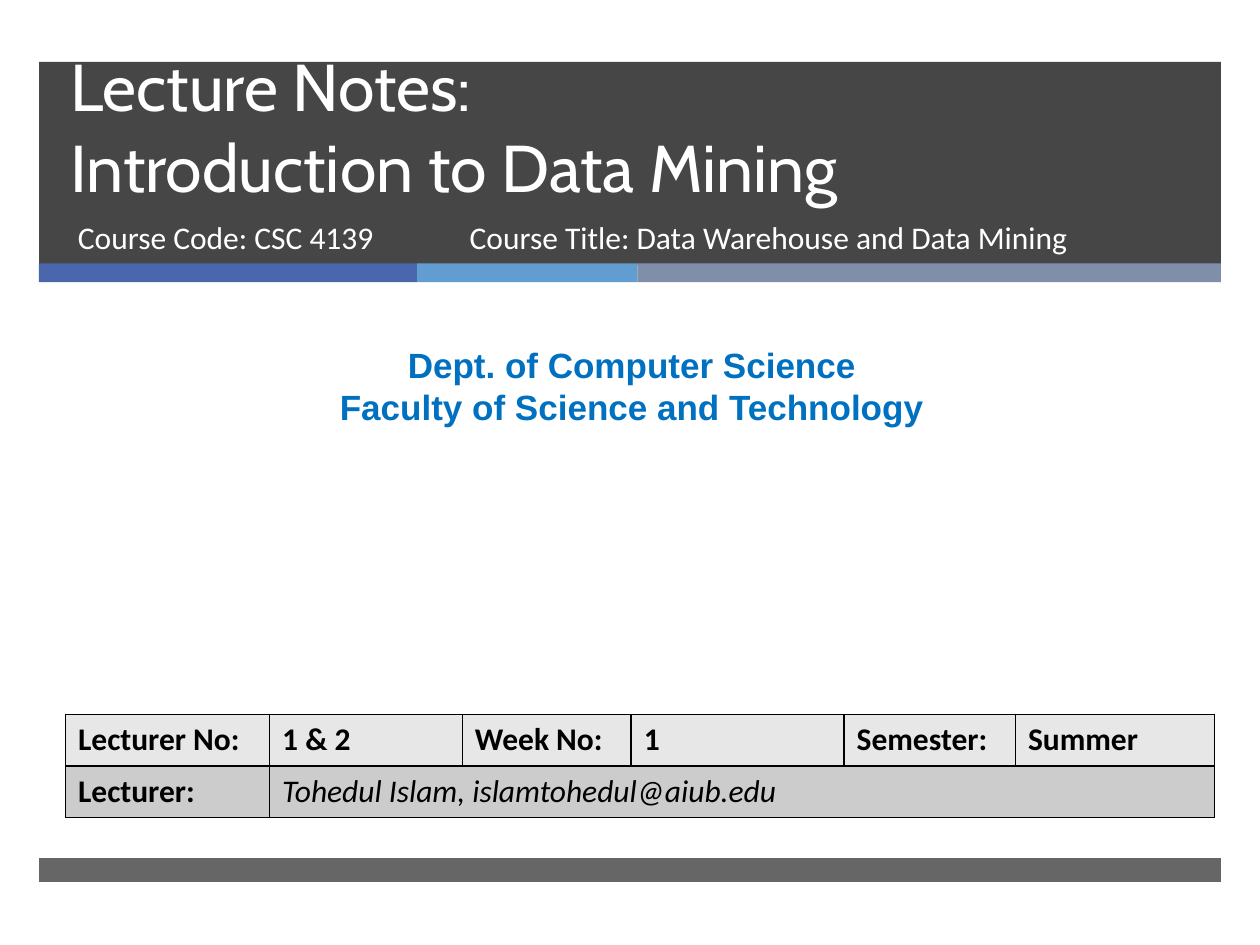
from lxml.etree import SubElement
from pptx import Presentation
from pptx.dml.color import RGBColor
from pptx.enum.shapes import MSO_SHAPE
from pptx.enum.text import MSO_ANCHOR, MSO_AUTO_SIZE, PP_ALIGN
from pptx.oxml.ns import qn
from pptx.util import Inches, Pt

WHITE = RGBColor(0xFF, 0xFF, 0xFF)
BLACK = RGBColor(0, 0, 0)
CHARCOAL = RGBColor(0x26, 0x26, 0x26)
INDIGO = RGBColor(0x4A, 0x66, 0xAC)
SKY = RGBColor(0x62, 0x9D, 0xD1)
SLATE = RGBColor(0x7F, 0x8F, 0xA9)
BLUE = RGBColor(0x00, 0x70, 0xC0)
LIGHT_GREY = RGBColor(0xE7, 0xE7, 0xE7)
MID_GREY = RGBColor(0xCC, 0xCC, 0xCC)

TITLE = ["Lecture Notes:\vIntroduction to Data Mining"]
COURSE_LINES = [
    ("Course Code: CSC 4139", 0.52, 3.05),
    ("Course Title: Data Warehouse and Data Mining", 3.63, 5.03),
]
DEPARTMENT = ["Dept. of Computer Science", "Faculty of Science and Technology"]
LECTURE_ROWS = [
    (["Lecturer No:", "1 & 2", "Week No:", "1", "Semester:", "Summer"], LIGHT_GREY),
    (["Lecturer:", "Tohedul Islam, islamtohedul@aiub.edu"], MID_GREY),
]
COLUMN_WIDTHS = [1.62, 1.53, 1.34, 1.69, 1.36, 1.58]
ROW_HEIGHT = 0.41

BAND_LEFT, BAND_WIDTH = 0.31, 9.38
BANDS = [(0.49, 1.61, 85), (6.81, 0.19, 70)]
STRIPES = [(3, INDIGO), (1.75, SKY), (4.63, SLATE)]


def write(frame, lines, size, font="Calibri", color=WHITE, bold=False,
          italic=False, align=PP_ALIGN.LEFT, spacing=None):
    frame.word_wrap = True
    frame.text = "\n".join(lines)
    for para in frame.paragraphs:
        para.alignment = align
        para.line_spacing = spacing
        for span in para.runs:
            span.font.name = font
            span.font.size = Pt(size)
            span.font.bold = bold
            span.font.italic = italic
            span.font.color.rgb = color


def add_bar(page, left, top, width, height, color, opacity=100):
    bar = page.shapes.add_shape(MSO_SHAPE.RECTANGLE, Inches(left), Inches(top),
                                Inches(width), Inches(height))
    bar.shadow.inherit = False
    bar.line.fill.background()
    bar.fill.solid()
    bar.fill.fore_color.rgb = color
    if opacity < 100:
        tint = bar.element.spPr.find(".//" + qn("a:srgbClr"))
        SubElement(tint, qn("a:alpha"), val=str(opacity * 1000))


def add_text(page, left, top, width, height, lines, **style):
    box = page.shapes.add_textbox(Inches(left), Inches(top), Inches(width), Inches(height))
    write(box.text_frame, lines, **style)


def add_borders(cell):
    properties = cell._tc.get_or_add_tcPr()
    for side in ("lnL", "lnR", "lnT", "lnB"):
        line = SubElement(properties, qn("a:" + side), w=str(Pt(1)))
        fill = SubElement(line, qn("a:solidFill"))
        SubElement(fill, qn("a:srgbClr"), val=str(BLACK))


def add_lecture_table(page):
    table = page.shapes.add_table(
        len(LECTURE_ROWS), len(COLUMN_WIDTHS), Inches(0.52), Inches(5.67),
        Inches(sum(COLUMN_WIDTHS)), Inches(ROW_HEIGHT * len(LECTURE_ROWS))).table
    for column, width in zip(table.columns, COLUMN_WIDTHS):
        column.width = Inches(width)
    for row, (texts, color) in enumerate(LECTURE_ROWS):
        table.rows[row].height = Inches(ROW_HEIGHT)
        for column in range(len(COLUMN_WIDTHS)):
            cell = table.cell(row, column)
            add_borders(cell)
            cell.fill.solid()
            cell.fill.fore_color.rgb = color
            if column < len(texts):
                is_lecturer = "@" in texts[column]
                write(cell.text_frame, [texts[column]], 18, color=BLACK,
                      bold=not is_lecturer, italic=is_lecturer)
    table.cell(1, 1).merge(table.cell(1, len(COLUMN_WIDTHS) - 1))


def main():
    deck = Presentation()
    deck.slide_width, deck.slide_height = Inches(10), Inches(7.5)
    page = deck.slides.add_slide(deck.slide_layouts[5])

    for top, height, opacity in BANDS:
        add_bar(page, BAND_LEFT, top, BAND_WIDTH, height, CHARCOAL, opacity)
    left = BAND_LEFT
    for width, color in STRIPES:
        add_bar(page, left, 2.09, width, 0.15, color)
        left += width

    title = page.shapes.title
    title.left, title.top = Inches(0.46), Inches(0.49)
    title.width, title.height = Inches(8.54), Inches(1.19)
    write(title.text_frame, TITLE, 37.8, font="Cabin", spacing=Pt(46))
    title.text_frame.auto_size = MSO_AUTO_SIZE.NONE
    title.text_frame.vertical_anchor = MSO_ANCHOR.BOTTOM
    page.shapes.element.append(title.element)

    for text, left, width in COURSE_LINES:
        add_text(page, left, 1.68, width, 0.53, [text], size=18)
    add_text(page, 0.08, 2.68, 9.87, 0.77, DEPARTMENT, size=20, font="Arial",
             color=BLUE, bold=True, align=PP_ALIGN.CENTER)
    add_lecture_table(page)
    deck.save("out.pptx")


if __name__ == "__main__":
    main()
